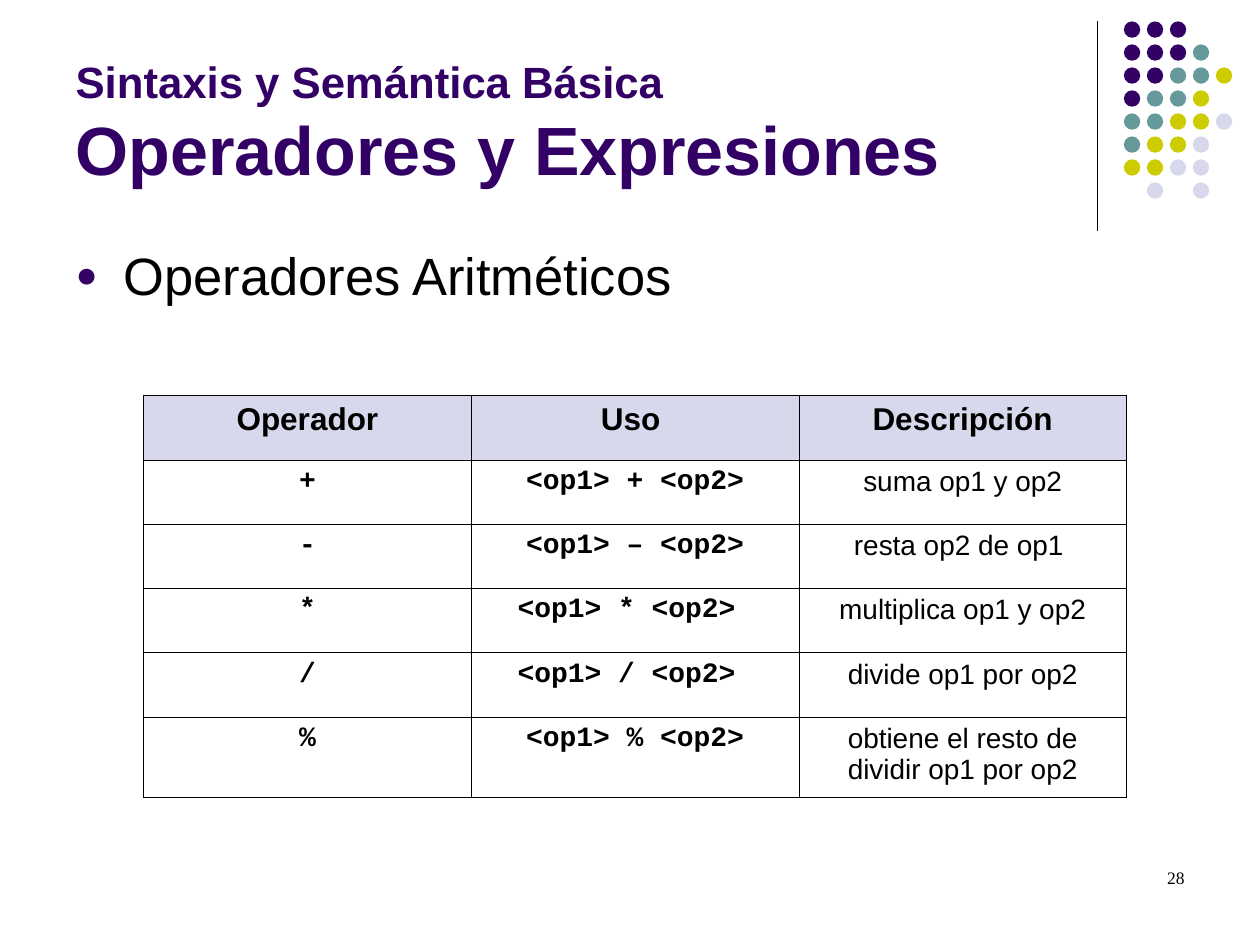
from copy import deepcopy

from lxml import etree
from pptx import Presentation
from pptx.dml.color import RGBColor
from pptx.enum.shapes import MSO_CONNECTOR, MSO_SHAPE
from pptx.enum.text import MSO_ANCHOR, MSO_AUTO_SIZE, PP_ALIGN
from pptx.oxml.ns import qn
from pptx.util import Inches, Pt

STRAIGHT = MSO_CONNECTOR.STRAIGHT
OVAL = MSO_SHAPE.OVAL
TOP, BOTTOM = MSO_ANCHOR.TOP, MSO_ANCHOR.BOTTOM
NO_AUTOFIT = MSO_AUTO_SIZE.NONE
LEFT, CENTER, RIGHT = PP_ALIGN.LEFT, PP_ALIGN.CENTER, PP_ALIGN.RIGHT

PURPLE, TEAL, OLIVE, LAVENDER = "330066", "669999", "CCCC00", "D8D8EC"
BLACK = "000000"
DOT_COLORS = {"P": PURPLE, "T": TEAL, "O": OLIVE, "L": LAVENDER}
DOT_ROWS = ["PPP", "PPPT", "PPTTO", "PTTO", "TTOOL", "TOOL", "OOLL", " L L"]

HEADER = ["Operador", "Uso ", "Descripción"]
OPERATORS = [
    ("+", "<op1> + <op2>", "suma op1 y op2"),
    ("-", "<op1> – <op2>", "resta op2 de op1 "),
    ("*", "<op1> * <op2> ", "multiplica op1 y op2"),
    ("/", "<op1> / <op2> ", "divide op1 por op2"),
    ("%", "<op1> % <op2>", "obtiene el resto de dividir op1 por op2"),
]
ROW_HEIGHTS = [0.51] * 5 + [0.64]
COL_WIDTH = 2.6
THICK, THIN = 1.08, 0.45


def rgb(value):
    return RGBColor.from_string(value)


def add_text(p, text, size=16, font="Arial", color=BLACK, bold=False, align=LEFT):
    p.alignment = align
    r = p.add_run()
    r.text = text
    r.font.size = Pt(size)
    r.font.name = font
    r.font.bold = bold
    r.font.color.rgb = rgb(color)
    return r


def place(sp, left, top, width, height, anchor=TOP):
    sp.left, sp.top = Inches(left), Inches(top)
    sp.width, sp.height = Inches(width), Inches(height)
    tf = sp.text_frame
    tf.word_wrap = True
    tf.auto_size = NO_AUTOFIT
    tf.vertical_anchor = anchor
    return tf.paragraphs[0]


def add_title(s):
    p = place(s.shapes.title, 0.5, 0.13, 8.25, 1.42, BOTTOM)
    add_text(p, "Sintaxis y Semántica Básica", size=25, color=PURPLE, bold=True)
    p.add_line_break()
    r = add_text(p, "Operadores y Expresiones", size=39, color=PURPLE, bold=True)
    p._p.find(qn("a:br")).append(deepcopy(r._r.rPr))


def add_bullet(s):
    p = place(s.placeholders[1], 0.5, 1.88, 8.91, 1.18)
    p.space_before = Pt(0)
    pPr = p._p.get_or_add_pPr()
    pPr.set("marL", str(Inches(0.38)))
    pPr.set("indent", str(Inches(-0.38)))
    color = etree.SubElement(pPr, qn("a:buClr"))
    etree.SubElement(color, qn("a:srgbClr"), val=PURPLE)
    etree.SubElement(pPr, qn("a:buSzPct"), val="70000")
    etree.SubElement(pPr, qn("a:buFont"), typeface="Arial")
    etree.SubElement(pPr, qn("a:buChar"), char="●")
    add_text(p, "Operadores Aritméticos", size=30)


def add_rule(s):
    line = s.shapes.add_connector(
        STRAIGHT, Inches(8.71), Inches(0.17), Inches(8.71), Inches(1.83))
    line.line.color.rgb = rgb(BLACK)
    line.line.width = Pt(0.75)
    etree.SubElement(line._element.spPr, qn("a:effectLst"))


def add_dots(s):
    group = s.shapes.add_group_shape()
    size, pitch = Inches(0.13), 0.73 / 4
    for i, row in enumerate(DOT_ROWS):
        for j, key in enumerate(row):
            if key == " ":
                continue
            dot = group.shapes.add_shape(
                OVAL, Inches(8.92 + j * pitch), Inches(0.17 + i * pitch), size, size)
            dot.shadow.inherit = False
            dot.fill.solid()
            dot.fill.fore_color.rgb = rgb(DOT_COLORS[key])
            dot.line.fill.background()


def set_borders(cell, outer):
    tcPr = cell._tc.get_or_add_tcPr()
    for i, (side, is_outer) in enumerate(outer.items()):
        width = THICK if is_outer else THIN
        ln = etree.Element(qn(f"a:ln{side}"), w=str(Pt(width)))
        fill = etree.SubElement(ln, qn("a:solidFill"))
        etree.SubElement(fill, qn("a:srgbClr"), val=BLACK)
        tcPr.insert(i, ln)


def add_operator_table(s):
    rows = [HEADER, *OPERATORS]
    n_rows, n_cols = len(rows), len(HEADER)
    table = s.shapes.add_table(
        n_rows, n_cols, Inches(1.14), Inches(3.14),
        Inches(COL_WIDTH * n_cols), Inches(sum(ROW_HEIGHTS))).table
    table.horz_banding = False
    for col in table.columns:
        col.width = Inches(COL_WIDTH)
    for i, row in enumerate(rows):
        table.rows[i].height = Inches(ROW_HEIGHTS[i])
        for j, text in enumerate(row):
            cell = table.cell(i, j)
            is_header, is_code = i == 0, i > 0 and j < 2
            if is_header:
                cell.fill.solid()
                cell.fill.fore_color.rgb = rgb(LAVENDER)
            else:
                cell.fill.background()
            set_borders(cell, {"L": j == 0, "R": j == n_cols - 1,
                               "T": i == 0, "B": i == n_rows - 1})
            add_text(cell.text_frame.paragraphs[0], text,
                     size=18 if is_header else 16,
                     font="Courier New" if is_code else "Arial",
                     bold=is_header or is_code, align=CENTER)


def add_page_number(s):
    sp = s.shapes.add_textbox(0, 0, 0, 0)
    p = place(sp, 7.17, 6.83, 2.33, 0.5)
    add_text(p, "28", size=10, font="Times New Roman", align=RIGHT)


def main():
    prs = Presentation()
    prs.slide_width, prs.slide_height = Inches(10), Inches(7.5)
    s = prs.slides.add_slide(prs.slide_layouts[1])
    add_rule(s)
    add_dots(s)
    add_title(s)
    add_bullet(s)
    add_operator_table(s)
    add_page_number(s)
    prs.save("out.pptx")


if __name__ == "__main__":
    main()
